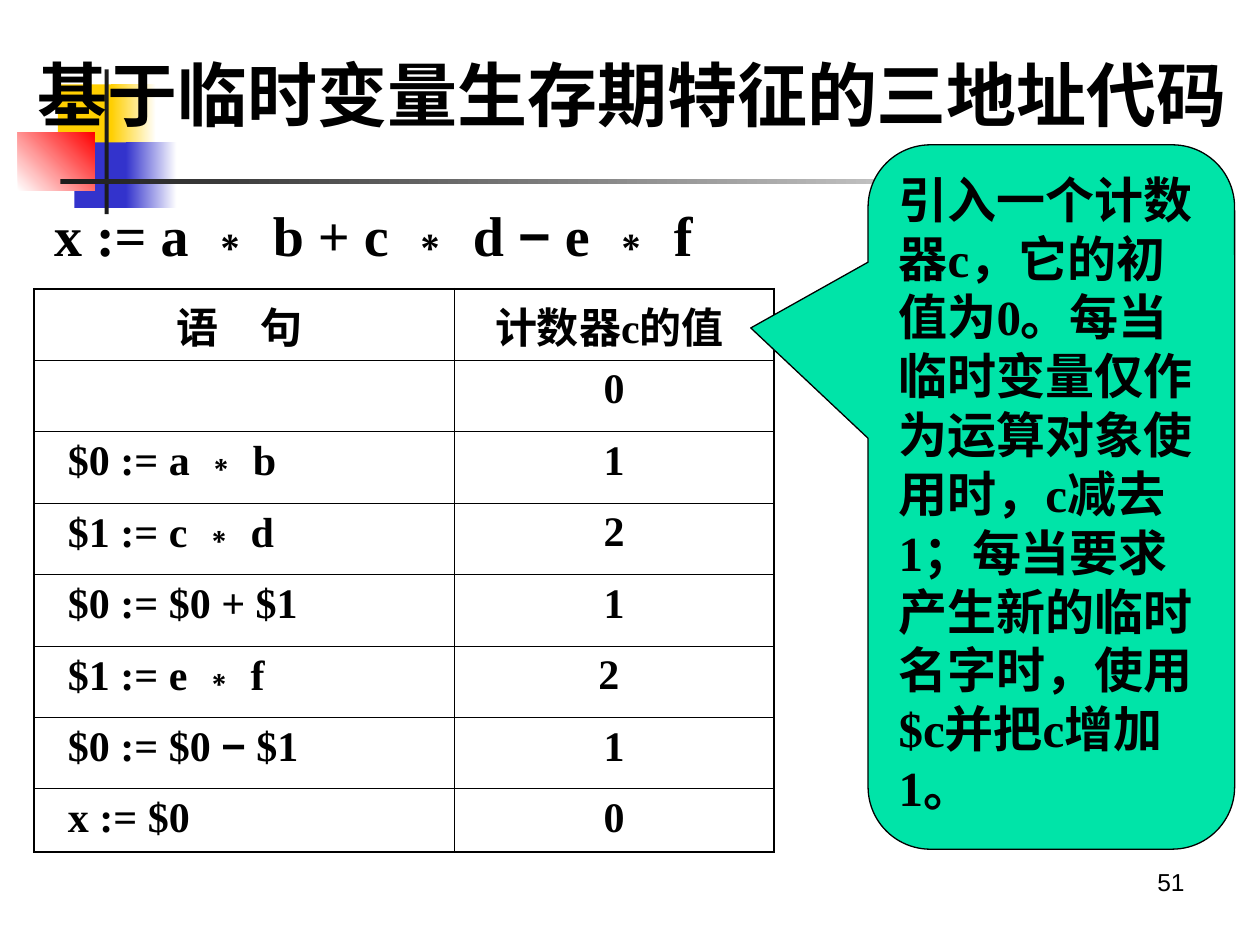
import itertools

import pptx
import pptx.dml.color
import pptx.enum.shapes
import pptx.enum.text
import pptx.oxml
import pptx.oxml.ns
import pptx.util

Cm, Pt = pptx.util.Cm, pptx.util.Pt
RGBColor = pptx.dml.color.RGBColor
MSO_SHAPE = pptx.enum.shapes.MSO_SHAPE
PP_ALIGN = pptx.enum.text.PP_ALIGN
MSO_ANCHOR = pptx.enum.text.MSO_ANCHOR

BLACK = RGBColor(0x00, 0x00, 0x00)
WHITE = RGBColor(0xFF, 0xFF, 0xFF)
YELLOW = RGBColor(0xFF, 0xCF, 0x01)
BLUE = RGBColor(0x33, 0x33, 0xCC)
RED = RGBColor(0xFF, 0x00, 0x00)
CHARCOAL = RGBColor(0x1C, 0x1C, 0x1C)
GREEN = RGBColor(0x00, 0xE4, 0xA8)

SERIF, SANS = "Times New Roman", "Arial"
OPERATORS = "∗−"  # set in the sans font
THIN, THICK = 0.45, 1.08

STATEMENTS = [
    ("语　句 ", "计数器c的值 "),
    ("", "0"),
    ("$0 := a ∗ b", "1"),
    ("$1 := c ∗ d", "2"),
    ("$0 := $0 + $1", "1"),
    ("$1 := e ∗ f", "2 "),
    ("$0 := $0 − $1", "1"),
    ("x := $0", "0"),
]


class SlideBuilder:
    """Holds the text style and the current slide."""

    def __init__(self, prs):
        self.slide = prs.slides.add_slide(prs.slide_layouts[5])
        self.shapes = self.slide.shapes

    def fill_text(self, tf, text, size, align=PP_ALIGN.LEFT, font=SERIF, bold=True):
        p = tf.paragraphs[0]
        p.alignment = align
        p.font.name, p.font.size, p.font.bold = font, Pt(size), bold
        p.font.color.rgb = BLACK
        for is_operator, chars in itertools.groupby(text, lambda ch: ch in OPERATORS):
            r = p.add_run()
            r.text = "".join(chars)
            if is_operator:
                r.font.name = SANS

    def title(self, text, box, size):
        sp = self.shapes.title
        sp.left, sp.top, sp.width, sp.height = map(Cm, box)
        tf = sp.text_frame
        tf.word_wrap = True
        tf.auto_size = pptx.enum.text.MSO_AUTO_SIZE.NONE
        tf.vertical_anchor = MSO_ANCHOR.MIDDLE
        self.fill_text(tf, text, size)
        sp.element.getparent().append(sp.element)  # in front of the ornament

    def text(self, text, box, size, **style):
        tf = self.shapes.add_textbox(*map(Cm, box)).text_frame
        tf.word_wrap = True
        self.fill_text(tf, text, size, **style)

    def bar(self, box, color, end=None, angle=0):
        sp = self.shapes.add_shape(MSO_SHAPE.RECTANGLE, *map(Cm, box))
        sp.shadow.inherit = False
        sp.line.fill.background()
        if end is None:
            sp.fill.solid()
            sp.fill.fore_color.rgb = color
        else:
            sp.fill.gradient()
            sp.fill.gradient_angle = angle
            for stop, rgb in zip(sp.fill.gradient_stops, (color, end)):
                stop.color.rgb = rgb

    def callout(self, text, box, adjustments, size):
        sp = self.shapes.add_shape(MSO_SHAPE.ROUNDED_RECTANGULAR_CALLOUT, *map(Cm, box))
        sp.shadow.inherit = False
        for i, value in enumerate(adjustments):
            sp.adjustments[i] = value
        sp.fill.solid()
        sp.fill.fore_color.rgb = GREEN
        sp.line.color.rgb = BLACK
        sp.line.width = Pt(0.75)
        tf = sp.text_frame
        tf.word_wrap = True
        tf.vertical_anchor = MSO_ANCHOR.TOP
        self.fill_text(tf, text, size)

    def borders(self, cell, widths):
        tcPr = cell._tc.get_or_add_tcPr()
        for side, width in zip("LRTB", widths):
            tcPr.append(pptx.oxml.parse_xml(
                f'<a:ln{side} {pptx.oxml.ns.nsdecls("a")} w="{int(Pt(width))}">'
                f'<a:solidFill><a:srgbClr val="{BLACK}"/></a:solidFill></a:ln{side}>'))

    def table(self, rows, left, top, col_widths, row_heights, size):
        n_rows, n_cols = len(rows), len(col_widths)
        table = self.shapes.add_table(
            n_rows, n_cols, Cm(left), Cm(top),
            Cm(sum(col_widths)), Cm(sum(row_heights))).table
        table.first_row = table.horz_banding = False
        for col, width in zip(table.columns, col_widths):
            col.width = Cm(width)
        for row, height in zip(table.rows, row_heights):
            row.height = Cm(height)
        for i, j in itertools.product(range(n_rows), range(n_cols)):
            cell = table.cell(i, j)
            outer = (j == 0, j == n_cols - 1, i == 0, i == n_rows - 1)
            self.borders(cell, [THICK if edge else THIN for edge in outer])
            cell.fill.background()
            is_statement = i > 0 and j == 0
            if is_statement:
                cell.margin_left = Cm(0.68)
            self.fill_text(cell.text_frame, rows[i][j], size,
                           PP_ALIGN.LEFT if is_statement else PP_ALIGN.CENTER)


def main():
    prs = pptx.Presentation()
    prs.slide_width, prs.slide_height = Cm(25.4), Cm(19.05)
    s = SlideBuilder(prs)

    # Corner ornament and rule
    s.bar((1.17, 1.7, 1.22, 1.32), YELLOW)
    s.bar((2.24, 1.7, 0.91, 1.32), YELLOW, WHITE)
    s.bar((1.5, 2.87, 1.17, 1.32), BLUE)
    s.bar((2.54, 2.87, 1.02, 1.32), BLUE, WHITE)
    s.bar((0.36, 2.67, 1.55, 1.17), WHITE, RED, angle=45)
    s.bar((2.11, 1.4, 0.08, 2.92), CHARCOAL)
    s.bar((1.22, 3.61, 22.86, 0.1), CHARCOAL, WHITE)

    # Slide number, title and expression
    s.text("51", (18.21, 17.35, 5.92, 1.32), 14,
           align=PP_ALIGN.RIGHT, font=SANS, bold=False)
    s.title("基于临时变量生存期特征的三地址代码", (0.51, 0.64, 24.71, 2.49), 40)
    s.text("x := a ∗ b + c ∗ d − e ∗ f", (0.84, 3.91, 16, 1.8), 32)

    # Statements and counter values
    s.table(STATEMENTS, 0.69, 5.82, (8.47, 6.44), [1.44] * 7 + [1.27], 24)

    # Explanation
    s.callout("引入一个计数器c，它的初值为0。每当临时变量仅作为运算对象使用时，"
              "c减去1；每当要求产生新的临时名字时，使用$c并把c增加1。",
              (17.5, 2.92, 7.39, 14.2), (-0.82, -0.24, 0.17), 28)

    prs.save("out.pptx")


if __name__ == "__main__":
    main()
